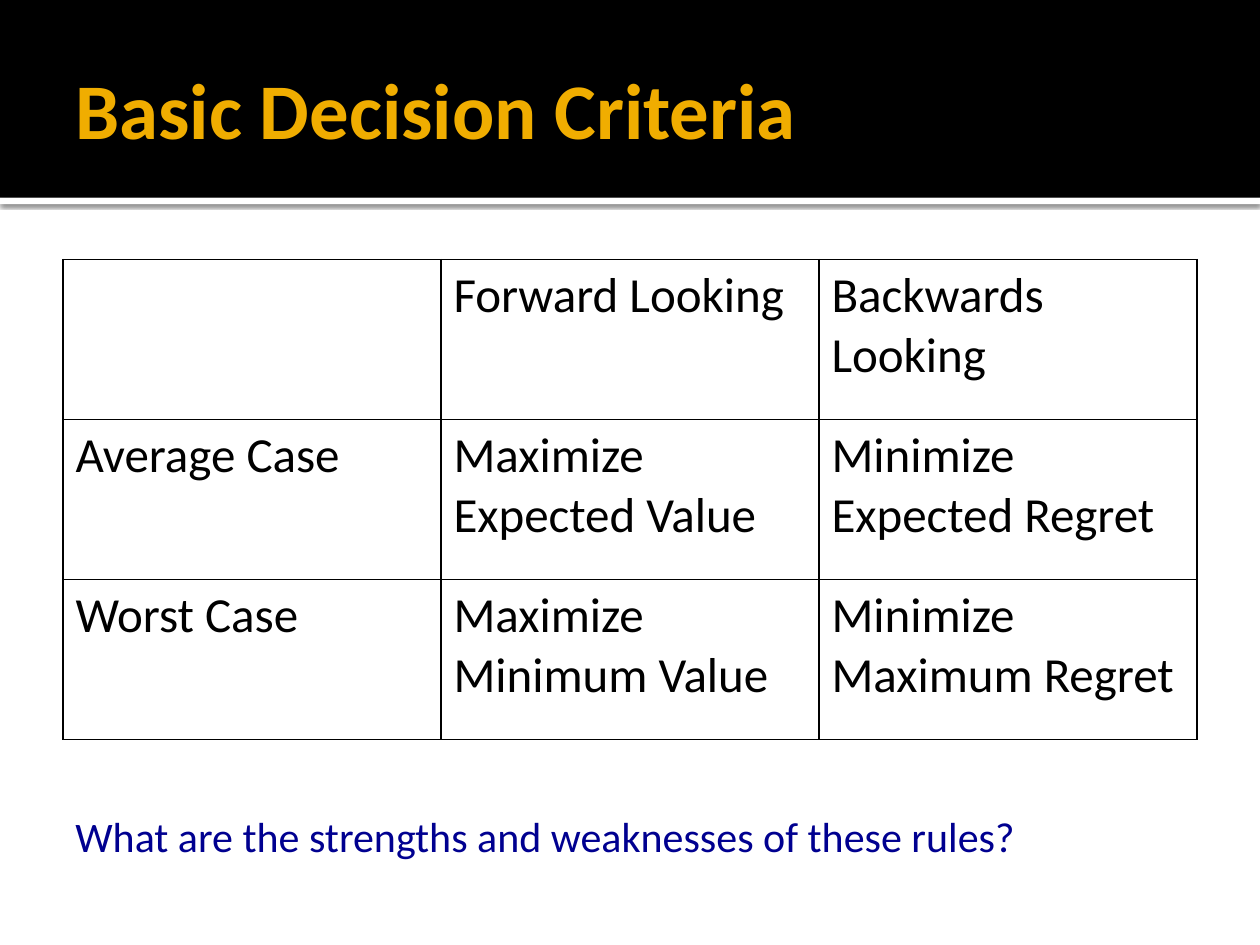
import pptx
import pptx.dml.color
import pptx.enum.shapes
import pptx.enum.text
import pptx.oxml
import pptx.oxml.ns
import pptx.util
from lxml import etree

Inches = pptx.util.Inches
Pt = pptx.util.Pt

TITLE = "Basic Decision Criteria"
CRITERIA = [
    ["", "Forward Looking", "Backwards Looking"],
    ["Average Case", "Maximize Expected Value", "Minimize Expected Regret"],
    ["Worst Case", "Maximize Minimum Value", "Minimize Maximum Regret"],
]
QUESTION = "What are the strengths and weaknesses of these rules?"

THEME = {
    "font": "Calibri",
    "black": "000000",
    "white": "FFFFFF",
    "gold": "F0AD00",
    "navy": "000090",
    "title_size": 45,
    "table_size": 28,
    "question_size": 24,
    "border": 1,
}

SLIDE_WIDTH, SLIDE_HEIGHT = 10, 7.5
MARGIN = 0.5
CONTENT_WIDTH = SLIDE_WIDTH - 2 * MARGIN
BAND_HEIGHT, STRIP_HEIGHT = 1.57, 0.05
TABLE_TOP, ROW_HEIGHT = 2.06, 1.27


def rgb(name):
    return pptx.dml.color.RGBColor.from_string(THEME[name])


def add_run(paragraph, text, size, color, bold=False):
    run = paragraph.add_run()
    run.text = text
    run.font.name = THEME["font"]
    run.font.size = Pt(THEME[size])
    run.font.color.rgb = rgb(color)
    run.font.bold = bold


def add_band(slide, top, height, color):
    band = slide.shapes.add_shape(
        pptx.enum.shapes.MSO_SHAPE.RECTANGLE,
        0, Inches(top), Inches(SLIDE_WIDTH), Inches(height))
    band.shadow.inherit = False
    band.fill.solid()
    band.fill.fore_color.rgb = rgb(color)
    band.line.fill.background()
    return band


def add_drop_shadow(shape):
    effects = shape._element.spPr.find(pptx.oxml.ns.qn("a:effectLst"))
    effects.append(pptx.oxml.parse_xml(
        f'<a:outerShdw {pptx.oxml.ns.nsdecls("a")} blurRad="{Pt(2.5)}" '
        f'dist="{Pt(0.8)}" dir="5400000" algn="tl" rotWithShape="0">'
        f'<a:srgbClr val="{THEME["black"]}"><a:alpha val="60000"/></a:srgbClr>'
        '</a:outerShdw>'))


def set_borders(cell):
    properties = cell._tc.get_or_add_tcPr()
    for position, side in enumerate(("lnL", "lnR", "lnT", "lnB")):
        line = etree.Element(pptx.oxml.ns.qn(f"a:{side}"),
                             w=str(Pt(THEME["border"])))
        fill = etree.SubElement(line, pptx.oxml.ns.qn("a:solidFill"))
        etree.SubElement(fill, pptx.oxml.ns.qn("a:srgbClr"), val=THEME["black"])
        properties.insert(position, line)


def add_header(slide):
    title = slide.shapes.title
    strip = add_band(slide, BAND_HEIGHT, STRIP_HEIGHT, "white")
    add_drop_shadow(strip)
    add_band(slide, 0, BAND_HEIGHT, "black")
    # The title placeholder comes first, so bring it in front of the bands.
    slide.shapes._spTree.append(title._element)

    title.left, title.top = Inches(MARGIN), Inches(0.17)
    title.width, title.height = Inches(CONTENT_WIDTH), Inches(1.37)
    frame = title.text_frame
    frame.word_wrap = True
    frame.auto_size = pptx.enum.text.MSO_AUTO_SIZE.NONE
    frame.vertical_anchor = pptx.enum.text.MSO_ANCHOR.MIDDLE
    frame.margin_left = Inches(0.1)
    frame.margin_right = frame.margin_top = frame.margin_bottom = Inches(0.05)
    paragraph = frame.paragraphs[0]
    paragraph.alignment = pptx.enum.text.PP_ALIGN.LEFT
    add_run(paragraph, TITLE, "title_size", "gold", bold=True)


def add_criteria_table(slide):
    row_count, column_count = len(CRITERIA), len(CRITERIA[0])
    table = slide.shapes.add_table(
        row_count, column_count, Inches(MARGIN), Inches(TABLE_TOP),
        Inches(CONTENT_WIDTH), Inches(row_count * ROW_HEIGHT)).table
    table.first_row = table.horz_banding = False
    for row, texts in zip(table.rows, CRITERIA):
        row.height = Inches(ROW_HEIGHT)
        for cell, text in zip(row.cells, texts):
            cell.fill.background()
            set_borders(cell)
            if text:
                add_run(cell.text_frame.paragraphs[0], text, "table_size", "black")


def add_question(slide):
    box = slide.shapes.add_textbox(
        Inches(MARGIN), Inches(6.38), Inches(7.77), Inches(0.5))
    box.text_frame.word_wrap = True
    add_run(box.text_frame.paragraphs[0], QUESTION, "question_size", "navy")


def main():
    presentation = pptx.Presentation()
    presentation.slide_width = Inches(SLIDE_WIDTH)
    presentation.slide_height = Inches(SLIDE_HEIGHT)
    slide = presentation.slides.add_slide(
        presentation.slide_layouts.get_by_name("Title Only"))
    slide.background.fill.solid()
    slide.background.fill.fore_color.rgb = rgb("white")
    add_header(slide)
    add_criteria_table(slide)
    add_question(slide)
    presentation.save("out.pptx")


if __name__ == "__main__":
    main()
